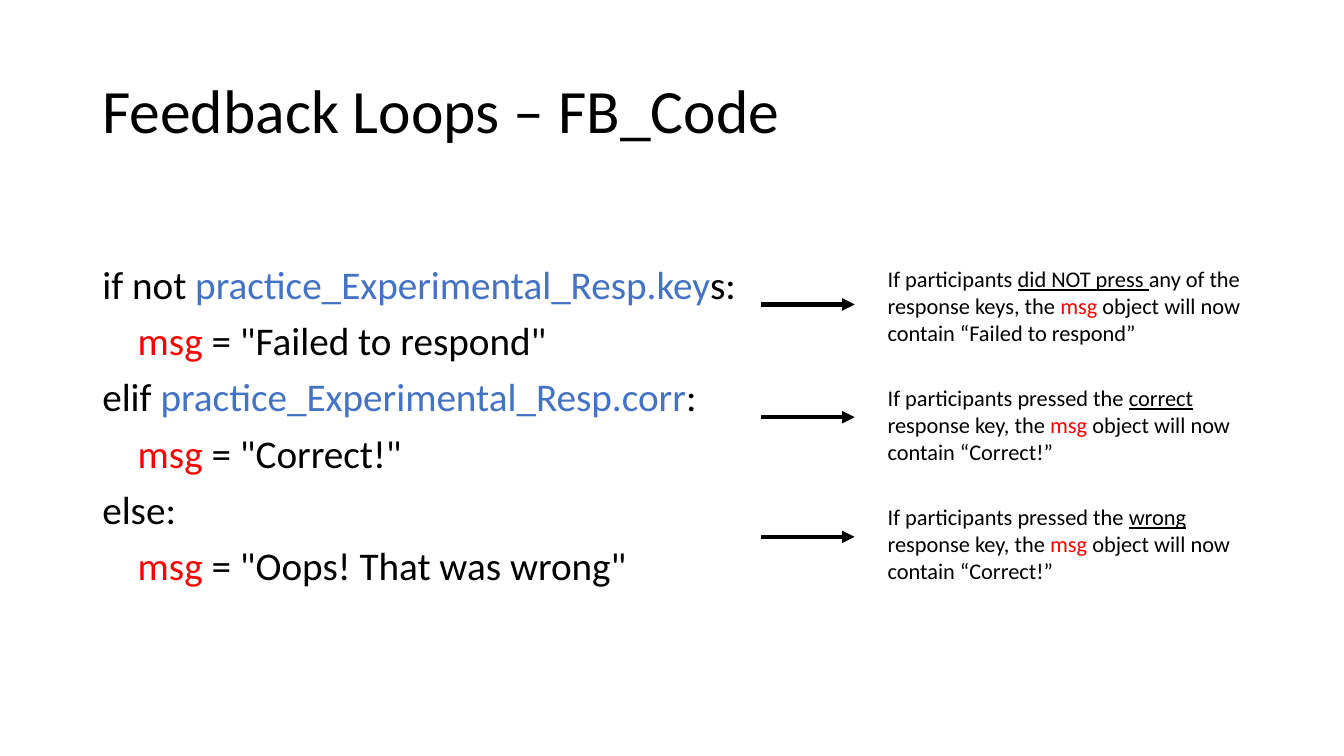
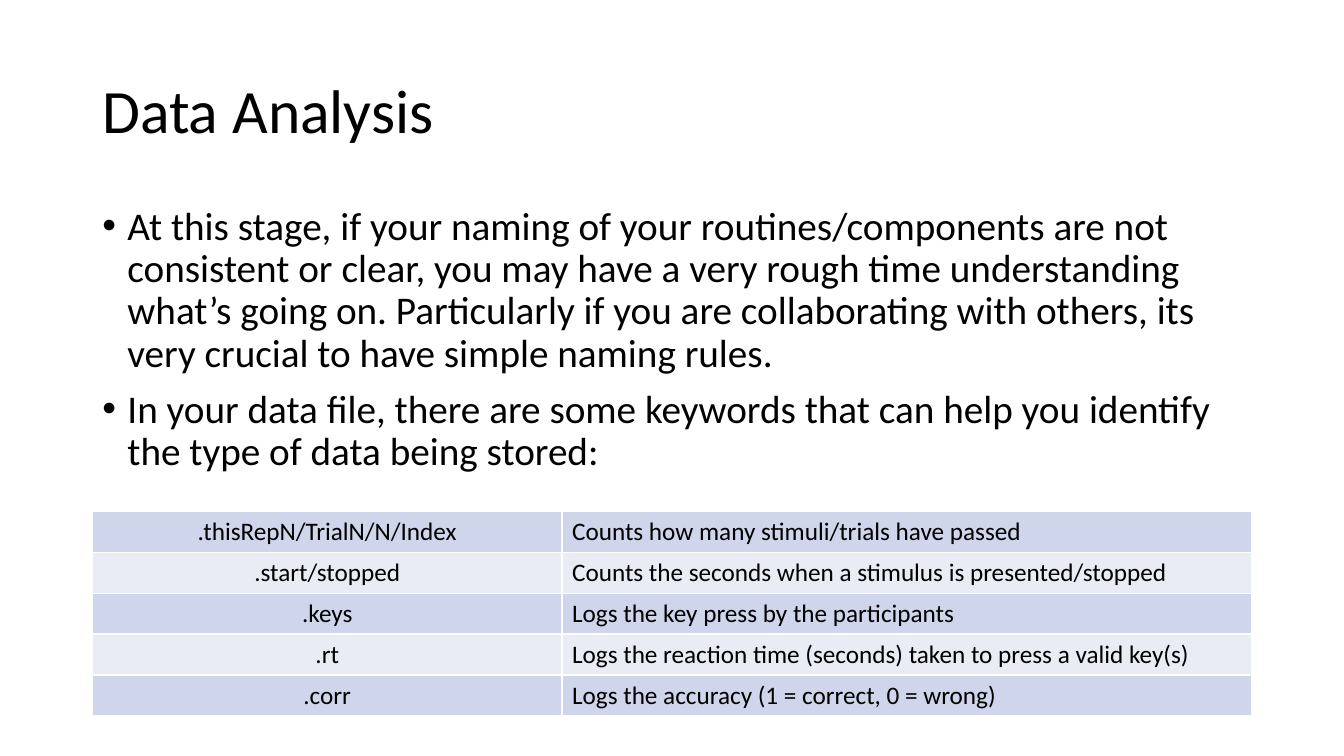
from lxml import etree
from pptx import Presentation
from pptx.dml.color import RGBColor
from pptx.enum.shapes import MSO_CONNECTOR as Connector
from pptx.enum.text import MSO_ANCHOR as Anchor, PP_ALIGN as Align
from pptx.oxml.ns import qn
from pptx.util import Pt

COLORS = {
    "text": "000000",
    "message": "FF0000",
    "component": "4472C4",
    "row_dark": "CFD5EA",
    "row_light": "E9EBF5",
    "border": "FFFFFF",
}
FONT = "Calibri"
LEFT, WIDTH = 66, 828
CODE_INDENT = 25.3
MESSAGE = ("msg", {"color": "message"})

# Each line of code: its indent level and its runs.
CODE_LINES = [
    (0, ["if not ", ("practice_Experimental_Resp.key", {"color": "component"}), "s:"]),
    (1, [MESSAGE, ' = "Failed to respond"']),
    (0, ["elif ", ("practice_Experimental_Resp.corr", {"color": "component"}), ":"]),
    (1, [MESSAGE, ' = "Correct!"']),
    (0, ["else:"]),
    (1, [MESSAGE, ' = "Oops! That was wrong"']),
]

# Each note: the height of its arrow and its runs.
NOTES = [
    (217.5, ["If participants ", ("did NOT press ", {"underline": True}),
             "any of the response keys, the ", MESSAGE,
             " object will now contain “Failed to respond”"]),
    (298, ["If participants pressed the ", ("correct", {"underline": True}),
           " response key, the ", MESSAGE, " object will now contain “Correct!”"]),
    (383.5, ["If participants pressed the ", ("wrong", {"underline": True}),
             " response key, the ", MESSAGE, " object will now contain “Correct!”"]),
]

ADVICE = [
    "At this stage, if your naming of your routines/components are not consistent or "
    "clear, you may have a very rough time understanding what’s going on. Particularly "
    "if you are collaborating with others, its very crucial to have simple naming rules.",
    "In your data file, there are some keywords that can help you identify the type of "
    "data being stored:",
]

KEYWORDS = [
    (".thisRepN/TrialN/N/Index", "Counts how many stimuli/trials have passed"),
    (".start/stopped", "Counts the seconds when a stimulus is presented/stopped"),
    (".keys", "Logs the key press by the participants"),
    (".rt", "Logs the reaction time (seconds) taken to press a valid key(s)"),
    (".corr", "Logs the accuracy (1 = correct, 0 = wrong)"),
]


def rgb(name):
    return RGBColor.from_string(COLORS[name])


def write(paragraph, runs, size=28, align=Align.LEFT, line_spacing=1.0,
          space_before=0, margin=0, bullet=None):
    """Fill a paragraph with runs, each a string or a (string, format) pair."""
    paragraph.alignment = align
    paragraph.line_spacing = line_spacing
    paragraph.space_before = Pt(space_before)
    properties = paragraph._p.get_or_add_pPr()
    properties.set("marL", str(Pt(margin)))
    if bullet:
        properties.set("indent", str(-Pt(margin)))
        etree.SubElement(properties, qn("a:buFont"), typeface="Arial")
        etree.SubElement(properties, qn("a:buChar"), char=bullet)
    for item in runs:
        text, style = (item, {}) if isinstance(item, str) else item
        run = paragraph.add_run()
        run.text = text
        run.font.name = FONT
        run.font.size = Pt(size)
        run.font.underline = style.get("underline", False)
        run.font.color.rgb = rgb(style.get("color", "text"))


def add_text(slide, left, top, width, height, paragraphs, anchor=Anchor.TOP, **style):
    """Add a text box; each paragraph is a (runs, extra format) pair."""
    box = slide.shapes.add_textbox(Pt(left), Pt(top), Pt(width), Pt(height))
    frame = box.text_frame
    frame.word_wrap = True
    frame.vertical_anchor = anchor
    for index, (runs, extra) in enumerate(paragraphs):
        paragraph = frame.add_paragraph() if index else frame.paragraphs[0]
        write(paragraph, runs, **{**style, **extra})


def add_titled_slide(presentation, title):
    slide = presentation.slides.add_slide(presentation.slide_layouts[6])
    add_text(slide, LEFT, 28.8, WIDTH, 104.4, [([title], {})],
             anchor=Anchor.MIDDLE, size=44, line_spacing=0.9)
    return slide


def add_body(slide, top, width, height, paragraphs):
    add_text(slide, LEFT, top, width, height, paragraphs,
             line_spacing=0.9, space_before=10)


def add_arrow(slide, left, right, y):
    arrow = slide.shapes.add_connector(
        Connector.STRAIGHT, Pt(left), Pt(y), Pt(right), Pt(y))
    arrow.line.color.rgb = rgb("text")
    arrow.line.width = Pt(3)
    etree.SubElement(arrow.line._get_or_add_ln(), qn("a:tailEnd"), type="triangle")
    etree.SubElement(arrow._element.spPr, qn("a:effectLst"))


def add_borders(cell):
    properties = cell._tc.get_or_add_tcPr()
    for side in ("lnL", "lnR", "lnT", "lnB"):
        line = etree.SubElement(properties, qn("a:" + side), w=str(Pt(1)))
        fill = etree.SubElement(line, qn("a:solidFill"))
        etree.SubElement(fill, qn("a:srgbClr"), val=COLORS["border"])


def add_keyword_table(slide, top, column_widths, row_height):
    table = slide.shapes.add_table(
        len(KEYWORDS), len(column_widths), Pt(LEFT), Pt(top),
        Pt(sum(column_widths)), Pt(row_height * len(KEYWORDS))).table
    table.first_row = table.horz_banding = False
    for column, width in zip(table.columns, column_widths):
        column.width = Pt(width)
    for index, (row, texts) in enumerate(zip(table.rows, KEYWORDS)):
        row.height = Pt(row_height)
        for cell, text, align in zip(row.cells, texts, (Align.CENTER, Align.LEFT)):
            add_borders(cell)
            cell.fill.solid()
            cell.fill.fore_color.rgb = rgb("row_light" if index % 2 else "row_dark")
            cell.vertical_anchor = Anchor.MIDDLE
            write(cell.text_frame.paragraphs[0], [text], size=18, align=align)


def build_feedback_slide(presentation):
    slide = add_titled_slide(presentation, "Feedback Loops – FB_Code")
    add_body(slide, 186, 506, 255,
             [(runs, {"margin": level * CODE_INDENT}) for level, runs in CODE_LINES])
    for index, (arrow_y, runs) in enumerate(NOTES):
        add_text(slide, 627, 186 + 85 * index, 266.5, 65.5, [(runs, {})], size=16)
        add_arrow(slide, 543.5, 610.5, arrow_y)


def build_analysis_slide(presentation):
    slide = add_titled_slide(presentation, "Data Analysis")
    add_body(slide, 143.75, WIDTH, 342.5,
             [([text], {"margin": 18, "bullet": "•"}) for text in ADVICE])
    add_keyword_table(slide, 365.3, (335.5, 492.5), 29.2)


def main():
    presentation = Presentation()
    presentation.slide_width, presentation.slide_height = Pt(960), Pt(540)
    build_feedback_slide(presentation)
    build_analysis_slide(presentation)
    presentation.save("out.pptx")


if __name__ == "__main__":
    main()
